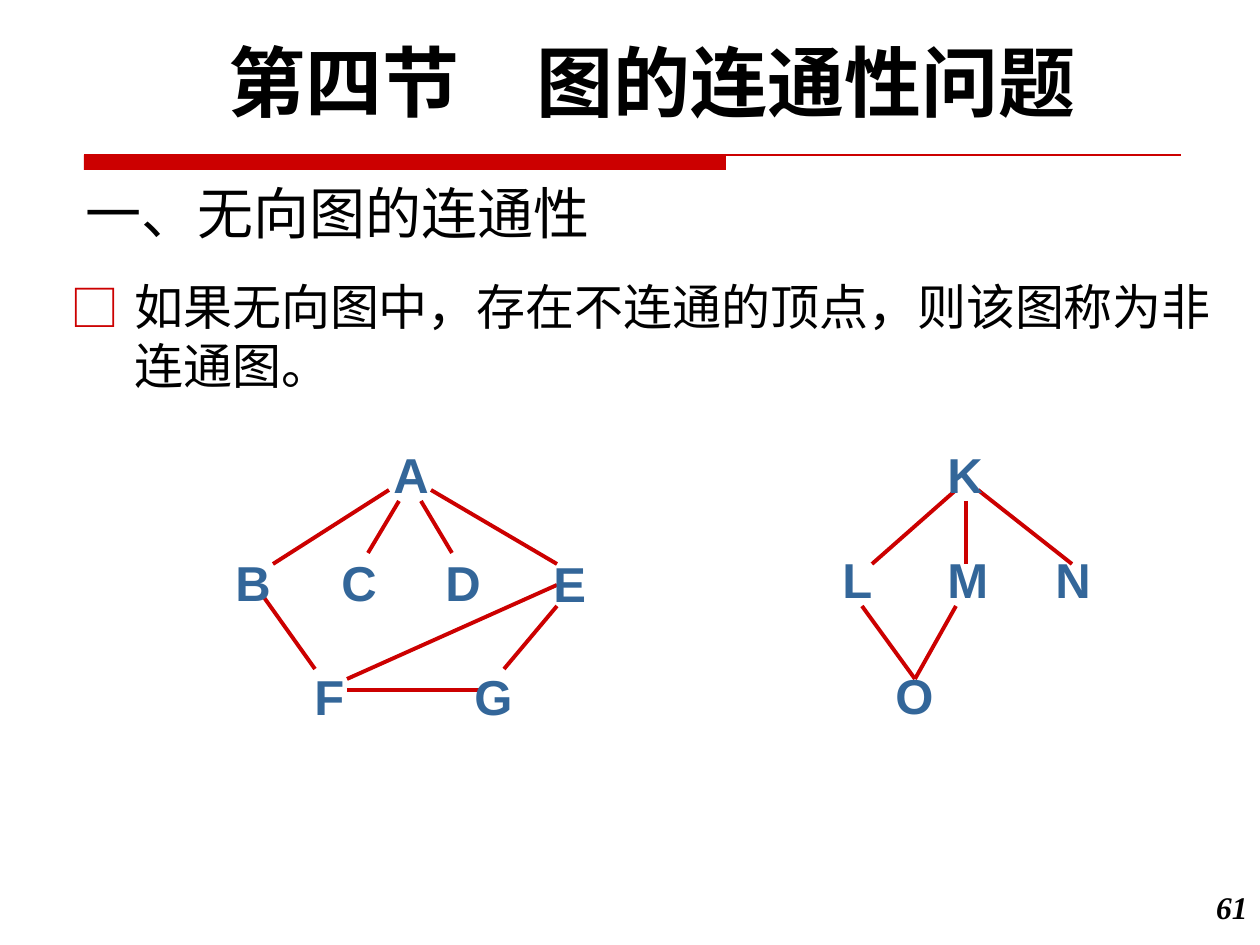
from dataclasses import dataclass

from lxml import etree
from pptx import Presentation
from pptx import util as u
from pptx.dml.color import RGBColor
from pptx.enum import shapes, text
from pptx.oxml.ns import qn

PX = u.Inches(1) / 126


def px(length):
    return u.Emu(round(length * PX))


@dataclass(frozen=True)
class Theme:
    ink: str = "000000"
    accent: str = "CC0000"
    node: str = "336699"
    sans: str = "Noto Sans CJK SC"
    display: str = "Lato"
    label: str = "Arial"
    serif: str = "Times New Roman"
    title_size: int = 44
    heading_size: int = 32
    body_size: int = 28
    number_size: int = 18
    rule_width: float = 0.75
    edge_width: float = 2.25


class SlideWriter:
    def __init__(self, slide, theme):
        self.shapes = slide.shapes
        self.theme = theme

    def text(self, words, box, size, font, color=None, bold=False, italic=False,
             align=text.PP_ALIGN.LEFT, anchor=text.MSO_ANCHOR.TOP, wrap=True,
             spacing=None, bullet=None, hang=0):
        frame = self.shapes.add_textbox(*map(px, box)).text_frame
        frame.word_wrap = wrap
        frame.vertical_anchor = anchor
        frame.text = words
        paragraph = frame.paragraphs[0]
        paragraph.alignment = align
        if spacing:
            paragraph.line_spacing = spacing
        if hang:
            props = paragraph._p.get_or_add_pPr()
            props.set("marL", str(px(hang)))
            props.set("indent", str(-px(hang)))
        if bullet:
            self.bullet(paragraph, bullet)
        run = paragraph.runs[0]
        run.font.size = u.Pt(size)
        run.font.name = font
        run.font.bold = bold
        run.font.italic = italic
        run.font.color.rgb = RGBColor.from_string(color or self.theme.ink)
        # East Asian glyphs keep the compact line height of the display font
        etree.SubElement(run._r.rPr, qn("a:ea"), typeface=self.theme.display)

    def bullet(self, paragraph, mark):
        props = paragraph._p.get_or_add_pPr()
        tint = etree.SubElement(props, qn("a:buClr"))
        etree.SubElement(tint, qn("a:srgbClr"), val=self.theme.accent)
        etree.SubElement(props, qn("a:buFont"), typeface=self.theme.sans)
        etree.SubElement(props, qn("a:buChar"), char=mark)

    def bar(self, box):
        bar = self.shapes.add_shape(shapes.MSO_SHAPE.RECTANGLE, *map(px, box))
        bar.shadow.inherit = False
        bar.fill.solid()
        bar.fill.fore_color.rgb = RGBColor.from_string(self.theme.accent)
        bar.line.fill.background()

    def line(self, ends, width):
        line = self.shapes.add_connector(
            shapes.MSO_CONNECTOR.STRAIGHT, *map(px, ends))
        line.line.color.rgb = RGBColor.from_string(self.theme.accent)
        line.line.width = u.Pt(width)
        etree.SubElement(line._element.spPr, qn("a:effectLst"))

    def node(self, letter, left, top, width):
        self.text(letter, (left, top, width, 72), self.theme.body_size,
                  self.theme.label, self.theme.node, bold=True, wrap=False)


# Edge ends: x1, y1, x2, y2
EDGES = [
    # Right component: K, L, M, N, O
    (862, 606, 915, 679), (956, 606, 915, 679), (978, 490, 1072, 564),
    (956, 490, 872, 564), (966, 501, 966, 564),
    # Left component: A to G
    (557, 585, 347, 679), (347, 690, 484, 690), (263, 596, 315, 669),
    (557, 606, 504, 669), (431, 490, 557, 564), (421, 501, 452, 553),
    (399, 501, 368, 553), (389, 490, 273, 564),
]

# Vertex labels: left, top, width
NODES = {
    "A": (381, 438, 60), "B": (223, 546, 60), "C": (329, 546, 60),
    "D": (433, 546, 60), "E": (541, 547, 58), "F": (302, 660, 55),
    "G": (462, 660, 63), "K": (935, 438, 60), "L": (830, 543, 55),
    "M": (935, 543, 67), "N": (1043, 543, 60), "O": (883, 659, 63),
}


def main():
    deck = Presentation()
    deck.slide_width, deck.slide_height = u.Inches(10), u.Inches(7.5)
    theme = Theme()
    page = SlideWriter(deck.slides.add_slide(deck.slide_layouts[6]), theme)

    # Rule under the title
    page.bar((84, 155, 642, 15))
    page.line((84, 155, 1181, 155), theme.rule_width)

    # Headings, body and page number
    page.text("一、无向图的连通性", (73, 158, 1040, 94), theme.heading_size,
              theme.sans, anchor=text.MSO_ANCHOR.BOTTOM)
    page.text("61", (1176, 882, 84, 63), theme.number_size, theme.serif,
              bold=True, italic=True, align=text.PP_ALIGN.RIGHT)
    page.text("第四节　图的连通性问题", (69, 39, 1166, 97), theme.title_size,
              theme.display, bold=True, align=text.PP_ALIGN.CENTER,
              spacing=0.9, hang=48)
    page.text("如果无向图中，存在不连通的顶点，则该图称为非连通图。",
              (58, 270, 1207, 150), theme.body_size, theme.sans,
              bullet="□", hang=64)

    # Unconnected graph
    for ends in EDGES:
        page.line(ends, theme.edge_width)
    for letter, place in NODES.items():
        page.node(letter, *place)

    deck.save("out.pptx")


if __name__ == "__main__":
    main()
